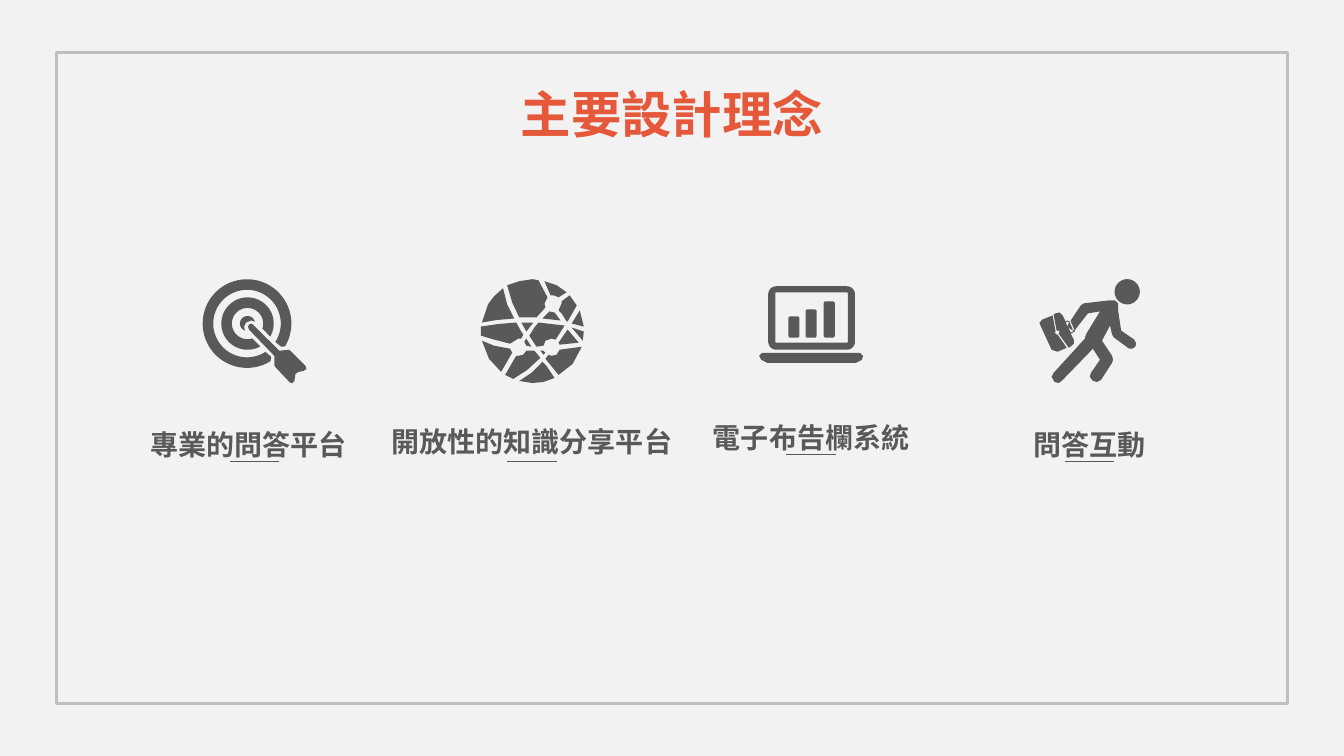
"""Build the slide on the four main design ideas, each with an icon and a label."""
import math
from dataclasses import dataclass

from lxml import etree
from pptx import Presentation
from pptx.dml.color import RGBColor
from pptx.enum import shapes, text
from pptx.oxml.ns import qn
from pptx.util import Inches, Pt


@dataclass(frozen=True)
class Theme:
    background: str = "F2F2F2"
    frame: str = "BFBFBF"
    accent: str = "E5583A"
    ink: str = "595959"
    font: str = "Arial"
    title_size: int = 36
    label_size: int = 20
    frame_width: float = 2.25
    rule_width: float = 0.5


def arc(cx, cy, radius, start=0, end=360):
    steps = max(6, round(abs(end - start) / 6))
    angles = [math.radians(start + (end - start) * i / steps) for i in range(steps + 1)]
    return [(cx + radius * math.cos(a), cy + radius * math.sin(a)) for a in angles]


def rounded(left, top, right, bottom, radius):
    corners = [(right - radius, bottom - radius), (left + radius, bottom - radius),
               (left + radius, top + radius), (right - radius, top + radius)]
    return [point for i, (cx, cy) in enumerate(corners)
            for point in arc(cx, cy, radius, 90 * i, 90 * i + 90)]


def outline(points):
    return [tuple(map(float, pair.split(","))) for pair in points.split()]


TARGET = [
    outline("48,44 50,45 76,71 85,70 87,71 102,86 103,89 100,91 95,92 92,94 91,101 "
            "89,103 88,103 86,102 72,87 71,85 71,76 46,50 45,47 46,45"),
    arc(44.5, 44, 7.5, 110, 345) + outline("48,41 43,43 41,47"),
    arc(44.5, 44, 26, 61, 390) + arc(44.5, 44, 15.5, 378, 72),
    arc(44, 44, 44, 58, 391) + outline("78,67") + arc(44, 44, 33.5, 393, 57)
    + outline("68,77"),
]
GLOBE = [outline(patch) for patch in (
    "61,82 65,86 73,98 62,102 51,103 38,101 50,93",
    "59,71 62,71 64,73 62,75",
    "45,71 51,71 53,71 59,78 46,90 32,99 24,95 35,76 37,76 42,75",
    "100,67 91,84 77,95 64,79 67,75 70,76 75,75 78,70",
    "1,61 13,66 29,69 31,73 20,92 8,79",
    "45,59 50,67 45,66 43,62",
    "86,50 97,63 78,65 77,63",
    "90,48 102,52 101,61",
    "35,43 40,52 42,55 40,59 37,59 29,64 13,60 0,56 0,47 17,44.5",
    "57,43 83,46 74,60 70,59 64,61 62,66 55,67 48,56 53,48",
    "52,43 45,52 44,50 40,43",
    "68,32 72,33 73,33 76,37 79,41 61,39",
    "98,31 102,47 90,44",
    "88,16 95,26 86,42 85,42 80,34 77,31 80,24 80,22",
    "22,9 26,25 33,39 16,40.5 1,43 7,25 13,17",
    "63,2 75,6 85,13 77,18 72,16 69,16",
    "51,0 57,1 66,18 63,24 64,28 55,38 38,38 31,23 26,6 38,2",
)]
LAPTOP = [
    outline("3,66 100,66 103,69 102,73 96,76 8,76 2,73 0,69"),
    *(rounded(left, top, left + 11, 51, 2) for left, top in ((29, 30), (46, 23), (64, 15))),
    rounded(16, 6, 88, 56, 1),
    rounded(9, 0, 95, 63, 8),
]
RUNNER = [
    outline("30,43 33,50 31,50 28,47 29,43"),
    outline("13,36 16,52 15,53 17,55 18,55 27,68 18,72 12,70 1,46 0,43 3,40"),
    outline("20,33 23,36 26,42 28,41 30,42 30,43 28,42 26,43 31,53 33,52 33,50 35,51 "
            "35,52 33,53 31,54 34,60 34,64 32,66 29,68 19,54 20,52 19,51 17,51 14,35 16,34"),
    outline("69,21 75,21 78,24 78,31 81,51 94,60 96,64 95,67 92,69 89,69 74,58 72,55 "
            "70,46 62,61 72,76 73,80 72,83 61,100 57,102 53,101 50,97 51,93 60,80 53,69 "
            "22,101 19,103 15,102 12,97 14,93 45,59 46,55 60,32 48,34 37,48 35,51 31,42 "
            "31,41 41,26 44,24"),
    arc(87, 12.5, 12.5),
]


class DesignSlide:
    def __init__(self, deck, theme):
        self.theme = theme
        self.slide = deck.slides.add_slide(deck.slide_layouts[6])
        fill = self.slide.background.fill
        fill.solid()
        fill.fore_color.rgb = RGBColor.from_string(theme.background)

    def frame(self, left, top, width, height):
        border = self.slide.shapes.add_shape(
            shapes.MSO_SHAPE.RECTANGLE, *map(Inches, (left, top, width, height)))
        border.shadow.inherit = False
        border.fill.background()
        border.line.color.rgb = RGBColor.from_string(self.theme.frame)
        border.line.width = Pt(self.theme.frame_width)

    def caption(self, words, box, *, size, color, parent=None, wrap=True, spacing=None):
        holder = parent or self.slide
        body = holder.shapes.add_textbox(*map(Inches, box)).text_frame
        body.word_wrap = wrap
        body.auto_size = text.MSO_AUTO_SIZE.SHAPE_TO_FIT_TEXT
        paragraph = body.paragraphs[0]
        paragraph.alignment = text.PP_ALIGN.CENTER
        paragraph.line_spacing = spacing
        run = paragraph.add_run()
        run.text = words
        run.font.name = self.theme.font
        run.font.size = Pt(size)
        run.font.bold = True
        run.font.color.rgb = RGBColor.from_string(color)

    def icon(self, parent, contours, left, top):
        placed = [[(Inches(left + x / 100), Inches(top + y / 100)) for x, y in contour]
                  for contour in contours]
        builder = parent.shapes.build_freeform(*placed[0][0])
        for contour in placed:
            if contour is not placed[0]:
                builder.move_to(*contour[0])
            builder.add_line_segments(contour[1:], close=True)
        glyph = builder.convert_to_shape()
        glyph.shadow.inherit = False
        glyph.fill.solid()
        glyph.fill.fore_color.rgb = RGBColor.from_string(self.theme.ink)
        glyph.line.fill.background()

    def rule(self, parent, left, top, width=0.49):
        stroke = parent.shapes.add_connector(
            shapes.MSO_CONNECTOR.STRAIGHT, *map(Inches, (left, top, left + width, top)))
        stroke.line.color.rgb = RGBColor.from_string(self.theme.ink)
        stroke.line.width = Pt(self.theme.rule_width)
        etree.SubElement(stroke._element.spPr, qn("a:effectLst"))

    def idea(self, words, contours, icon_at, rule_at, label_box):
        group = self.slide.shapes.add_group_shape()
        self.icon(group, contours, *icon_at)
        self.rule(group, *rule_at)
        self.caption(words, label_box, size=self.theme.label_size, color=self.theme.ink,
                     parent=group, spacing=1.2)


def main():
    deck = Presentation()
    deck.slide_width, deck.slide_height = Inches(13.33), Inches(7.5)
    theme = Theme()
    design = DesignSlide(deck, theme)
    design.frame(0.56, 0.52, 12.21, 6.46)
    design.caption("主要設計理念", (5.05, 0.78, 3.23, 0.71), size=theme.title_size,
                   color=theme.accent, wrap=False)
    ideas = [
        ("專業的問答平台", TARGET, (2.01, 2.77), (2.28, 4.58), (1.24, 4.13, 2.45, 0.47)),
        ("開放性的知識分享平台", GLOBE, (4.77, 2.77), (5.03, 4.58), (3.73, 4.1, 3.09, 0.47)),
        ("電子布告欄系統", LAPTOP, (7.53, 2.84), (7.8, 4.51), (6.82, 4.06, 2.45, 0.47)),
        ("問答互動", RUNNER, (10.31, 2.77), (10.56, 4.58), (9.58, 4.13, 2.45, 0.47)),
    ]
    for idea in ideas:
        design.idea(*idea)
    deck.save("out.pptx")


if __name__ == "__main__":
    main()
